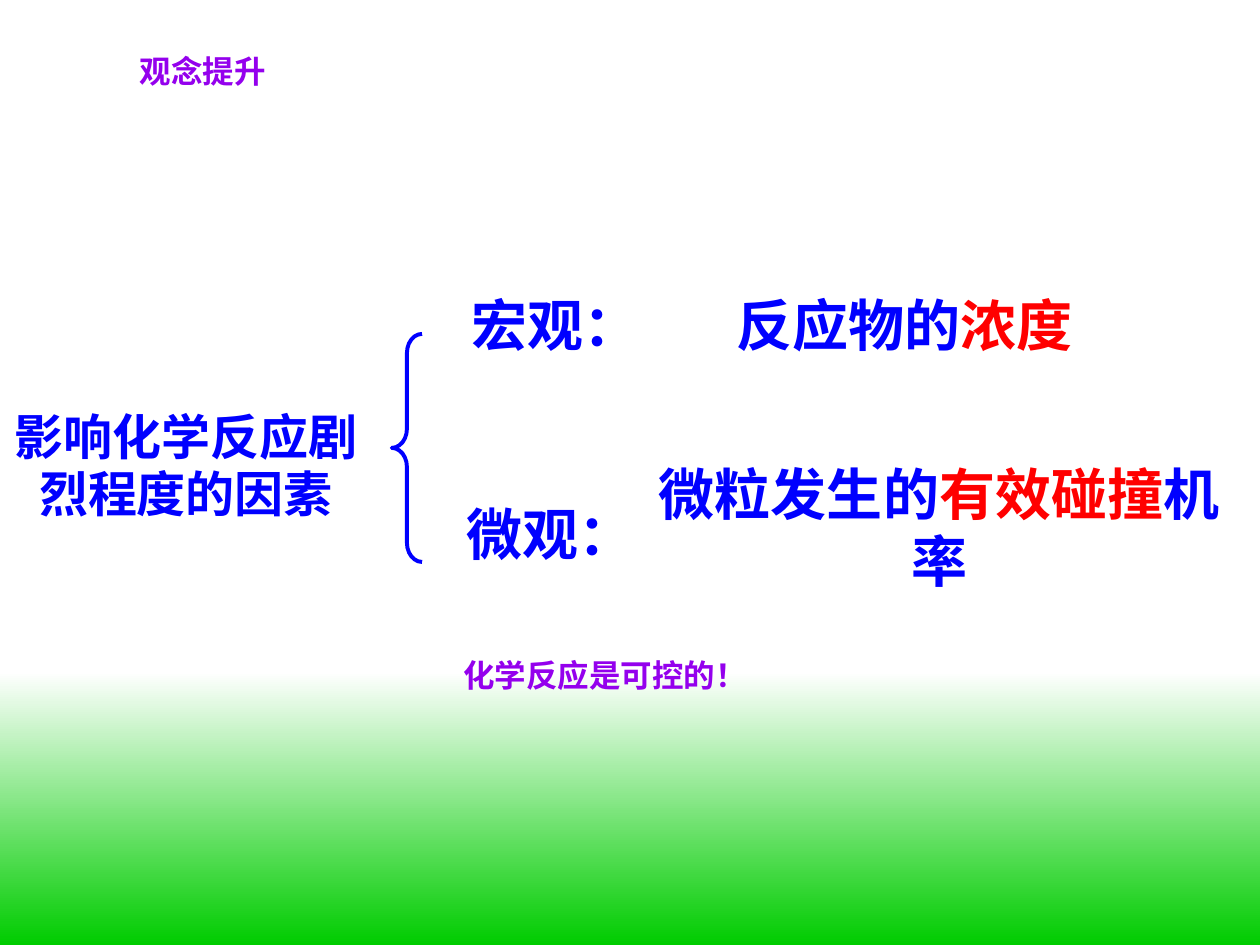
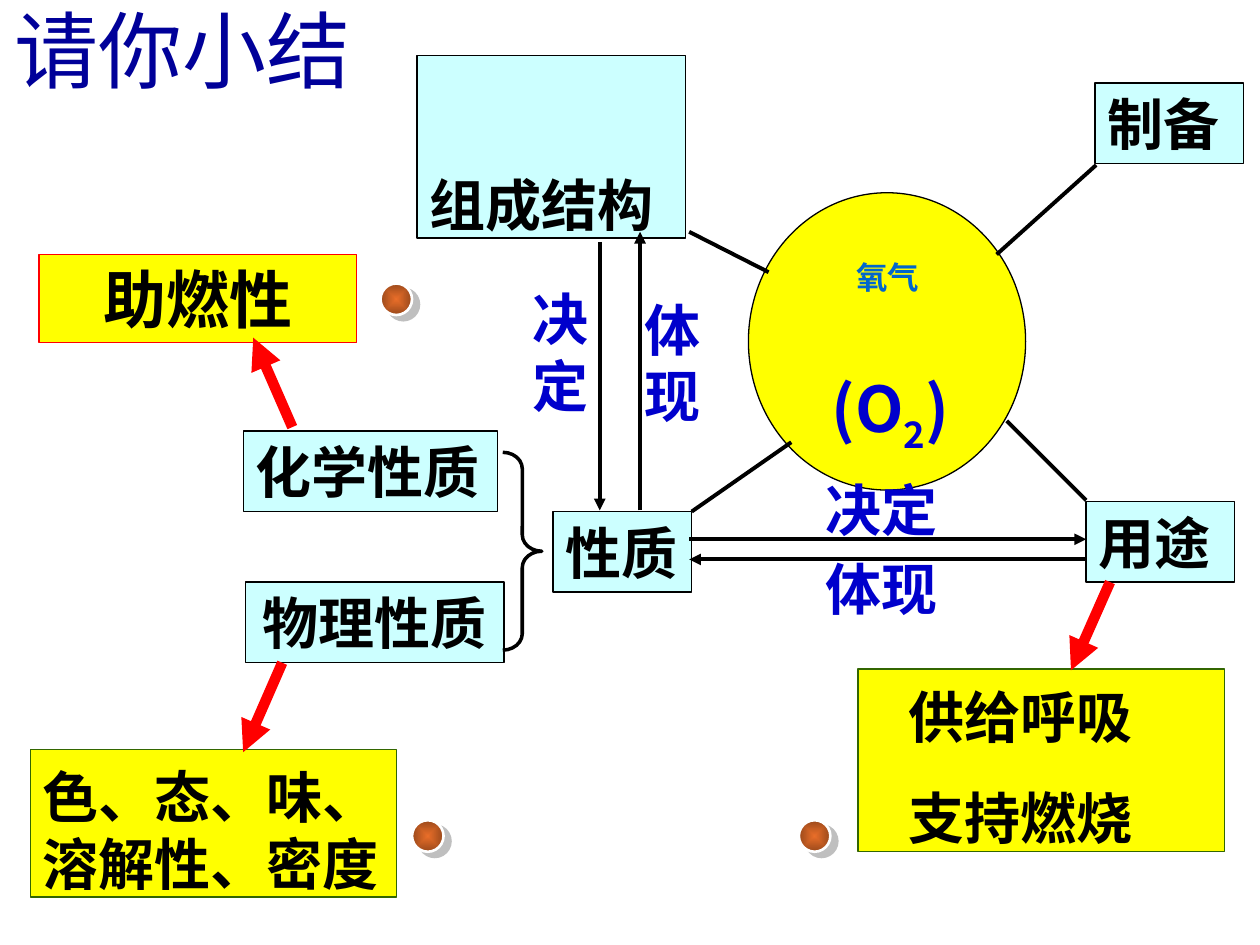
from pptx import Presentation
from pptx.dml.color import RGBColor
from pptx.enum.shapes import MSO_CONNECTOR, MSO_SHAPE
from pptx.enum.text import MSO_ANCHOR, PP_ALIGN
from pptx.oxml import parse_xml
from pptx.oxml.ns import nsdecls, qn
from pptx.util import Inches, Pt
from lxml.etree import SubElement

HUES = {
    "white": "FFFFFF", "black": "000000", "green": "00CC00", "olive": "336600",
    "blue": "0000FF", "navy": "000099", "royal": "0000CC", "sky": "0066CC",
    "purple": "9400ED", "red": "FF0000", "yellow": "FFFF00", "cyan": "CCFFFF",
    "orange": "E96E29", "rust": "9A491B", "gray": "808080",
}
ARIAL, TIMES, NOTO = "Arial", "Times New Roman", "Noto Sans CJK JP"


def rgb(name):
    """Return the named colour."""
    return RGBColor.from_string(HUES[name])


def add_run(para, text, size, hue, font=ARIAL, bold=True, base=0):
    """Add one styled run to a paragraph."""
    run = para.add_run()
    run.text = text
    run.font.size, run.font.bold, run.font.name = Pt(size), bold, font
    run.font.color.rgb = rgb(hue)
    props = run.font._element
    SubElement(props, qn("a:ea")).set("typeface", NOTO)
    if base:
        props.set("baseline", str(base * 1000))


def write(shape, paras, size=32, font=ARIAL, bold=True, center=False, wrap=True, tall=False):
    """Fill a shape with paragraphs, each a list of (text, hue, baseline) runs."""
    frame = shape.text_frame
    frame.word_wrap = wrap
    frame.vertical_anchor = MSO_ANCHOR.MIDDLE
    frame.margin_left = frame.margin_right = Inches(0.1)
    frame.margin_top, frame.margin_bottom = Inches(0.15 if tall else 0.05), Inches(0.05)
    for i, runs in enumerate(paras):
        para = frame.add_paragraph() if i else frame.paragraphs[0]
        para.alignment = PP_ALIGN.CENTER if center else PP_ALIGN.LEFT
        if tall:
            para.line_spacing = Pt(round(size * 1.18))
        if i:
            para.space_before = Pt(20)
        for text, hue, *base in runs:
            add_run(para, text, size, hue, font, bold, *base)
    return frame


def label(slide, box, runs, **style):
    """Place a text box with one paragraph."""
    return write(slide.shapes.add_textbox(*map(Inches, box)), [runs], **style)


def solid(slide, kind, box, fill=None, line=None, width=0.75):
    """Place a preset shape without shadow."""
    shape = slide.shapes.add_shape(kind, *map(Inches, box))
    shape.shadow.inherit = False
    if fill:
        shape.fill.solid()
        shape.fill.fore_color.rgb = rgb(fill)
    else:
        shape.fill.background()
    if line:
        shape.line.color.rgb = rgb(line)
        shape.line.width = Pt(width)
    else:
        shape.line.fill.background()
    return shape


def card(slide, box, lines, fill="cyan", line="black", **style):
    """Place a framed box with black lines of text."""
    shape = solid(slide, MSO_SHAPE.RECTANGLE, box, fill, line)
    return write(shape, [[(text, "black")] for text in lines], **style)


def blend(shape, first, last):
    """Give a shape a two-colour downward gradient."""
    shape.fill.gradient()
    shape.fill.gradient_angle = 270
    for stop, hue, place in zip(shape.fill.gradient_stops, (first, last), (0, 1)):
        stop.color.rgb, stop.position = rgb(hue), place


def brace(slide, kind, box, hue, width, curl):
    """Place a curly brace."""
    shape = solid(slide, kind, box, None, hue, width)
    shape.adjustments[0] = curl


def link(slide, start, end, hue="black", width=2.25, arrow=False):
    """Draw a line between two points, with an arrowhead if asked."""
    line = slide.shapes.add_connector(MSO_CONNECTOR.STRAIGHT, *map(Inches, (*start, *end)))
    line.line.color.rgb = rgb(hue)
    line.line.width = Pt(width)
    if arrow:
        SubElement(line.line._get_or_add_ln(), qn("a:tailEnd")).set("type", "triangle")
    SubElement(line._element.spPr, qn("a:effectLst"))


def bead(slide, left, top):
    """Place a shaded orange bead with a gray shadow."""
    ball = solid(slide, MSO_SHAPE.OVAL, (left, top, 0.25, 0.25), None, "white", 1.5)
    blend(ball, "orange", "rust")
    props = ball._element.spPr
    grad = props.find(qn("a:gradFill"))
    grad.replace(grad.find(qn("a:lin")), parse_xml(
        f'<a:path {nsdecls("a")} path="rect">'
        '<a:fillToRect l="50000" t="50000" r="50000" b="50000"/></a:path>'))
    props.find(qn("a:effectLst")).append(parse_xml(
        f'<a:outerShdw {nsdecls("a")} dist="{Pt(5)}" dir="2220000" algn="ctr" rotWithShape="0">'
        f'<a:srgbClr val="{HUES["gray"]}"><a:alpha val="50000"/></a:srgbClr></a:outerShdw>'))


def factors(slide):
    """Build the slide on what drives a reaction."""
    band = solid(slide, MSO_SHAPE.RECTANGLE, (0, 5.33, 10, 2.17))
    blend(band, "white", "green")
    label(slide, (0, 3.12, 2.95, 1.04), [("影响化学反应剧烈程度的因素", "blue")],
          size=28, center=True, tall=True)
    brace(slide, MSO_SHAPE.LEFT_BRACE, (3.11, 2.65, 0.24, 1.81), "blue", 2.25, 0.63)
    for box, runs in (
        ((3.11, 2.25, 2.6, 0.64), [("宏观：", "blue")]),
        ((3.19, 3.91, 2.36, 0.64), [("微观：", "blue")]),
        ((5.41, 2.25, 3.54, 0.64), [("反应物的", "blue"), ("浓度", "red")]),
        ((4.91, 3.86, 5.09, 0.64),
         [("微粒发生的", "blue"), ("有效碰撞", "red"), ("机率", "blue")]),
    ):
        label(slide, box, runs, center=True, wrap=False)
    for box, text in (((0.35, 0.24, 2.52, 0.64), "观念提升"),
                      ((2.16, 5.04, 5.28, 0.64), "化学反应是可控的！")):
        label(slide, box, [(text, "purple")], size=18, font=NOTO, center=True)


def oxygen(slide, left, top):
    """Place the central disc and its name."""
    solid(slide, MSO_SHAPE.OVAL, (left, top, 2.2, 2.36), "yellow", "black")
    label(slide, (left + 0.32, top + 0.35, 1.57, 0.64), [("氧气", "sky")],
          size=18, font=NOTO, center=True)
    label(slide, (left + 0.56, top + 1.35, 1.18, 0.79),
          [("(O", "royal"), ("2", "royal", -25), (")", "royal")],
          size=36, font=NOTO, wrap=False)


def topics(slide):
    """Place the cyan topic boxes."""
    frame = card(slide, (3.31, 0.44, 2.13, 1.45), ["组成结构"])
    frame.vertical_anchor, frame.margin_bottom = MSO_ANCHOR.BOTTOM, 0
    for left, top, width, text in (
        (8.69, 0.66, 1.18, "制备"), (8.62, 3.98, 1.18, "用途"), (4.39, 4.06, 1.1, "性质"),
        (1.93, 3.42, 2.02, "化学性质"),
    ):
        card(slide, (left, top, width, 0.64), [text], wrap=False)
    card(slide, (1.95, 4.62, 2.05, 0.64), ["物理性质"], center=True, wrap=False)
    brace(slide, MSO_SHAPE.RIGHT_BRACE, (3.99, 3.59, 0.31, 1.57), "black", 2, 0.42)


def details(slide):
    """Place the yellow answer boxes, their arrows and beads."""
    card(slide, (0.24, 5.95, 2.91, 1.17), ["色、态、味、溶解性、密度"],
         "yellow", "olive", font=TIMES, tall=True)
    card(slide, (0.31, 2.02, 2.52, 0.7), ["助燃性"], "yellow", "red", size=36, center=True)
    uses = card(slide, (6.81, 5.31, 2.91, 1.45), ["供给呼吸", "支持燃烧"],
                "yellow", "olive", font=TIMES, tall=True)
    uses.margin_left = Inches(0.4)
    for start, end in (((2.24, 5.26), (1.93, 5.97)), ((2.32, 3.39), (2.01, 2.68)),
                       ((8.81, 4.62), (8.5, 5.32))):
        link(slide, start, end, "red", 6, True)
    for spot in ((3.27, 6.51), (3.02, 2.25), (6.34, 6.51)):
        bead(slide, *spot)


def ties(slide):
    """Draw the spokes and the two pairs of labelled arrows."""
    for start, end in (((5.47, 1.84), (6.1, 2.16)), ((8.7, 1.31), (7.91, 2.02)),
                       ((7.99, 3.34), (8.62, 3.97)), ((5.49, 4.06), (6.28, 3.51))):
        link(slide, start, end)
    for start, end in (((4.76, 1.92), (4.76, 4.05)), ((5.08, 4.05), (5.08, 1.84)),
                       ((5.47, 4.28), (8.62, 4.28)), ((8.62, 4.44), (5.47, 4.44))):
        link(slide, start, end, arrow=True)
    for text, side, flat in (("决定", (4.13, 2.16), 3.72), ("体现", (5.02, 2.24), 4.35)):
        label(slide, (*side, 0.55, 1.17), [(text, "royal")], tall=True)
        label(slide, (6.45, flat, 1.5, 0.64), [(text, "royal")])


def summary(slide):
    """Build the slide that sums up oxygen."""
    label(slide, (0.02, 0, 3.14, 0.77), [("请你小结", "navy")],
          size=48, font=TIMES, bold=False, wrap=False)
    oxygen(slide, 5.94, 1.53)
    topics(slide)
    ties(slide)
    details(slide)


def main():
    """Build and save the deck."""
    deck = Presentation()
    deck.slide_width, deck.slide_height = Inches(10), Inches(7.5)
    for build in (factors, summary):
        build(deck.slides.add_slide(deck.slide_layouts[6]))
    deck.save("out.pptx")


if __name__ == "__main__":
    main()
